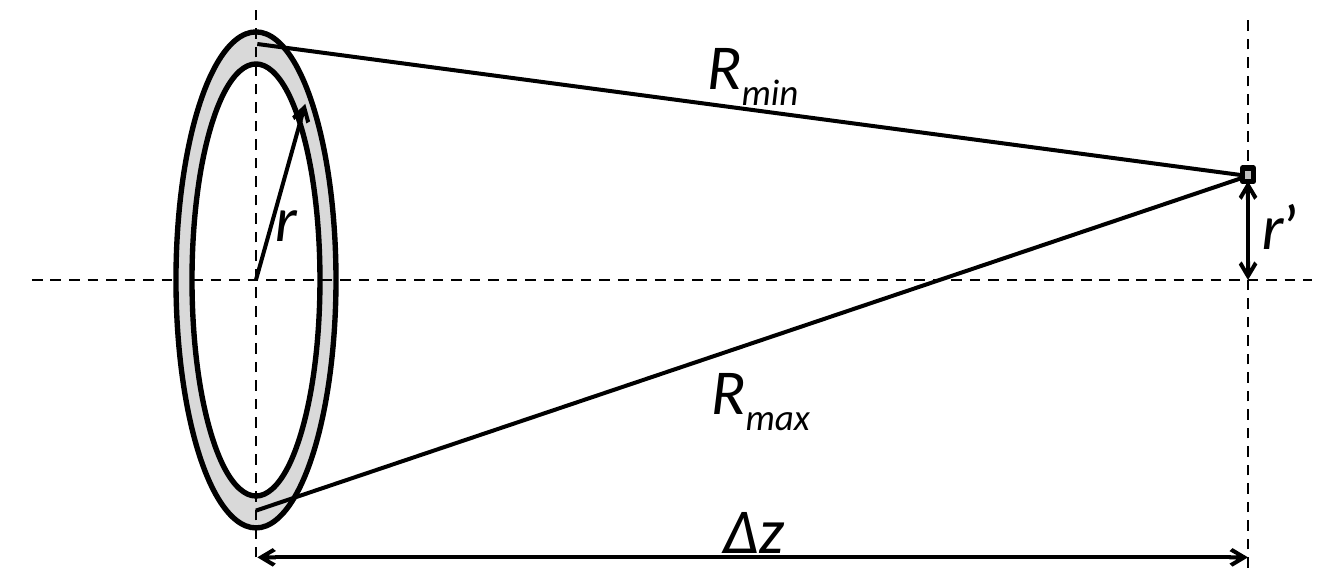
from pptx import Presentation
from pptx.dml.color import RGBColor
from pptx.enum.dml import MSO_LINE
from pptx.enum.shapes import MSO_CONNECTOR, MSO_SHAPE
from pptx.enum.text import MSO_AUTO_SIZE
from pptx.oxml.ns import qn
from pptx.util import Pt
from lxml.etree import SubElement

COLORS = {"ink": "000000", "ring": "D9D9D9", "hole": "FFFFFF", "element": "BFBFBF"}


def rgb(name):
    return RGBColor.from_string(COLORS[name])


class Diagram:
    """Holds the style and the current slide; all lengths are in points."""

    font, size = "Calibri", 24
    outline, solid, thin = 2, 1.5, 1

    def __init__(self, page):
        self.page = page

    def shape(self, kind, left, top, width, height, fill):
        item = self.page.shapes.add_shape(
            kind, Pt(left), Pt(top), Pt(width), Pt(height))
        item.shadow.inherit = False
        item.fill.solid()
        item.fill.fore_color.rgb = rgb(fill)
        item.line.color.rgb = rgb("ink")
        item.line.width = Pt(self.outline)

    def line(self, start, end, dashed=False, arrows=()):
        item = self.page.shapes.add_connector(
            MSO_CONNECTOR.STRAIGHT, *map(Pt, start + end))
        item.line.color.rgb = rgb("ink")
        item.line.width = Pt(self.thin if dashed else self.solid)
        if dashed:
            item.line.dash_style = MSO_LINE.DASH
        properties = item._element.spPr
        for side in arrows:
            SubElement(properties.find(qn("a:ln")), qn(f"a:{side}"), type="arrow")
        SubElement(properties, qn("a:effectLst"))

    def label(self, left, top, width, text, subscript="", upright="", wrap=False):
        box = self.page.shapes.add_textbox(Pt(left), Pt(top), Pt(width), Pt(36))
        frame = box.text_frame
        frame.word_wrap = wrap
        frame.auto_size = MSO_AUTO_SIZE.SHAPE_TO_FIT_TEXT
        para = frame.paragraphs[0]
        para.font.name, para.font.size = self.font, Pt(self.size)
        para.font.color.rgb = rgb("ink")
        for part in filter(None, (text, subscript, upright)):
            span = para.add_run()
            span.text = part
            span.font.name, span.font.size = self.font, Pt(self.size)
            span.font.color.rgb = rgb("ink")
            span.font.italic = part != upright
            if part == subscript:
                span._r.get_or_add_rPr().set("baseline", "-25000")


deck = Presentation()
deck.slide_width, deck.slide_height = Pt(504), Pt(216)
diagram = Diagram(deck.slides.add_slide(deck.slide_layouts[6]))

ring_x, element_x, axis_y, distance_y = 96, 468, 105, 209
both_ends = ("headEnd", "tailEnd")

# Ring, seen at an angle
for half_width, half_height, fill in ((30, 93, "ring"), (24, 81, "hole")):
    diagram.shape(MSO_SHAPE.OVAL, ring_x - half_width, axis_y - half_height,
                  2 * half_width, 2 * half_height, fill)

# Optical axis, in front of and behind the ring
for start_x, end_x in ((72, 492), (12, 66)):
    diagram.line((start_x, axis_y), (end_x, axis_y), dashed=True)

# Ring radius
diagram.line((ring_x, axis_y), (114.5, 39), arrows=("tailEnd",))
diagram.label(ring_x, 63, 23, "r")

# Nearest path and height of the element
diagram.line((96.5, 16.5), (element_x, 66))
diagram.line((element_x, axis_y), (element_x, 68), arrows=both_ends)
diagram.label(466, 66, 38, "r", upright="’", wrap=True)

# Farthest path and path labels
diagram.line((ring_x, 191.5), (469.5, 65.5))
diagram.label(258, 6, 52.5, "R", subscript="min")
diagram.label(259.5, 128, 55.5, "R", subscript="max")

# Planes of the ring and the element
for plane_x, bottom in ((ring_x, 209), (element_x, 213)):
    diagram.line((plane_x, bottom), (plane_x, bottom - 207.5), dashed=True)

# Distance between the planes
diagram.line((element_x, distance_y), (96.5, distance_y), arrows=both_ends)
diagram.label(264, 180, 37.5, "Δz")

# Surface element
diagram.shape(MSO_SHAPE.RECTANGLE, 466, 63, 4, 5, "element")

deck.save("out.pptx")
